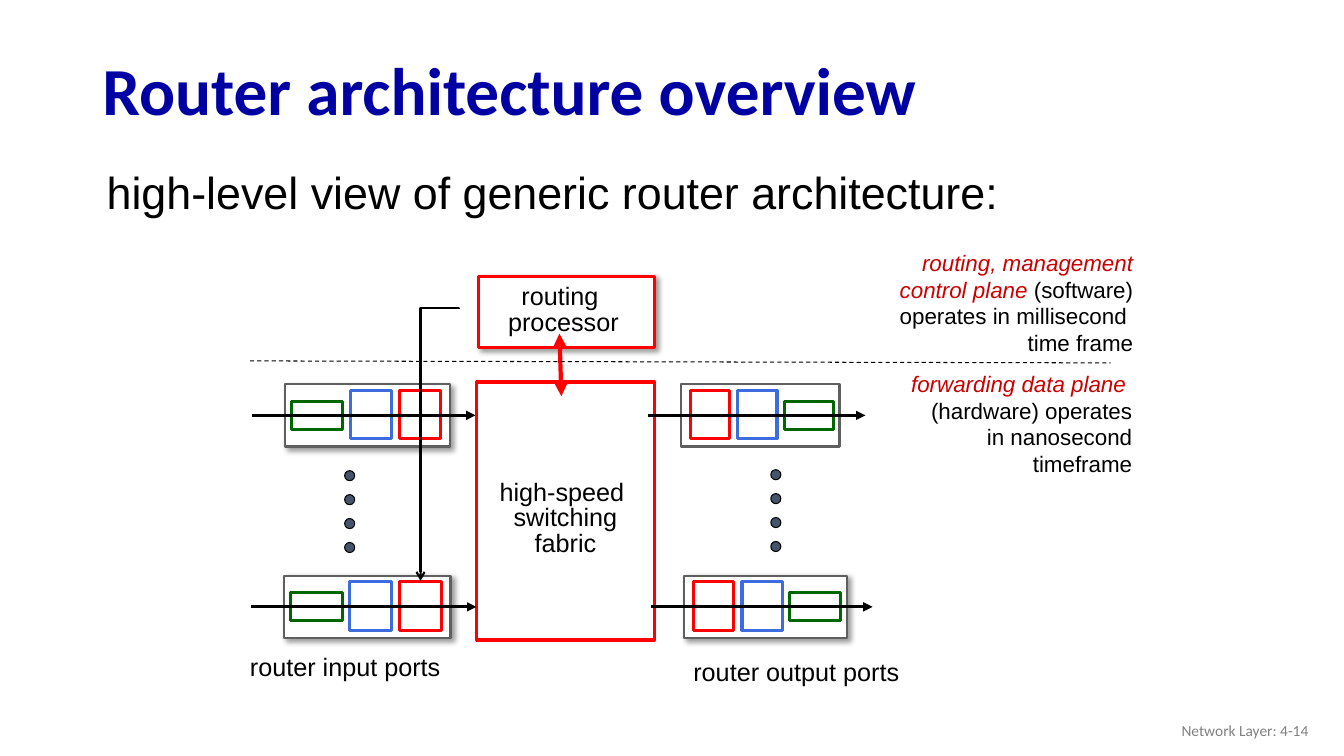
import pptx
import pptx.util
import pptx.dml.color
import pptx.enum.dml
import pptx.enum.shapes
import pptx.enum.text
import pptx.oxml
import pptx.oxml.ns

Pt = pptx.util.Pt
SHAPE = pptx.enum.shapes.MSO_SHAPE
CONNECTOR = pptx.enum.shapes.MSO_CONNECTOR
ALIGN = pptx.enum.text.PP_ALIGN
ANCHOR = pptx.enum.text.MSO_ANCHOR
DRAWING_NS = pptx.oxml.ns.nsdecls("a")

BLACK, WHITE, RED, GREEN, BLUE = "000000", "FFFFFF", "FF0000", "006600", "3C6CDF"
BODY = {"name": "Arial", "size": Pt(18), "color": BLACK}
SMALL = BODY | {"size": Pt(16)}
KEY_TERM = SMALL | {"color": "CC0000", "italic": True}

PORT_HEIGHT = 44.6
# Colour, start and width as shares of the port width, top offset, height
STAGES = [
    (GREEN, 0.04, 0.31, 12.3, 20),
    (BLUE, 0.395, 0.25, 4.4, 34.6),
    (RED, 0.695, 0.25, 4.4, 34.6),
]


def rgb(hex_color):
    return pptx.dml.color.RGBColor.from_string(hex_color)


def apply(target, values):
    """Set each format value on target; a colour is given as a hex string."""
    for attribute, value in values.items():
        if attribute == "color":
            target.color.rgb = rgb(value)
        else:
            setattr(target, attribute, value)


def write(frame, paragraphs, paragraph_format):
    """Fill a text frame; each paragraph is a list of (words, font values)."""
    for index, runs in enumerate(paragraphs):
        paragraph = frame.add_paragraph() if index else frame.paragraphs[0]
        apply(paragraph, paragraph_format)
        for words, font in runs:
            run = paragraph.add_run()
            run.text = words
            apply(run.font, font)


def label(slide, box, paragraphs, wrap=True, anchor=ANCHOR.TOP, **paragraph_format):
    frame = slide.shapes.add_textbox(*map(Pt, box)).text_frame
    apply(frame, {"word_wrap": wrap, "vertical_anchor": anchor})
    write(frame, paragraphs, paragraph_format)


def outlined(slide, box, line, width, fill=WHITE, kind=SHAPE.RECTANGLE, shadow=False):
    shape = slide.shapes.add_shape(kind, *map(Pt, box))
    shape.fill.solid()
    shape.fill.fore_color.rgb = rgb(fill)
    apply(shape.line, {"color": line, "width": Pt(width)})
    shape.shadow.inherit = False
    if shadow:
        effects = shape._element.spPr.find(pptx.oxml.ns.qn("a:effectLst"))
        effects.append(pptx.oxml.parse_xml(
            f'<a:outerShdw {DRAWING_NS} blurRad="{Pt(4)}" dist="{Pt(3)}" dir="2700000" '
            'algn="tl" rotWithShape="0"><a:srgbClr val="000000">'
            '<a:alpha val="40000"/></a:srgbClr></a:outerShdw>'))


def link(slide, start, end, width, color=BLACK, head=None, tail=None,
         kind=CONNECTOR.STRAIGHT):
    connector = slide.shapes.add_connector(kind, *map(Pt, (*start, *end)))
    apply(connector.line, {"color": color, "width": Pt(width)})
    outline = connector.line._get_or_add_ln()
    for tag, arrowhead in (("headEnd", head), ("tailEnd", tail)):
        if arrowhead:
            outline.append(pptx.oxml.parse_xml(
                f'<a:{tag} {DRAWING_NS} type="{arrowhead}"/>'))
    connector._element.spPr.append(
        pptx.oxml.parse_xml(f"<a:effectLst {DRAWING_NS}/>"))
    return connector


def port(slide, left, top, width, mirrored=False, shadow=True):
    """Draw a port with its three stages and the packet flow through them."""
    outlined(slide, (left, top, width, PORT_HEIGHT), "5F5F5F", 1.5, shadow=shadow)
    for color, start, share, drop, height in STAGES:
        offset = 1 - start - share if mirrored else start
        outlined(slide, (left + offset * width, top + drop, share * width, height),
                 color, 2.25)
    middle = top + PORT_HEIGHT / 2
    link(slide, (left - 24, middle), (left + width + 18.5, middle), 2.25,
         tail="triangle")


def dots(slide, left, top):
    for index in range(4):
        outlined(slide, (left, top + index * 17.1, 7.2, 7.2), BLACK, 0.75,
                 fill="44546A", kind=SHAPE.OVAL)


def forwarding_table_arrow(slide):
    """Run from the routing processor left, then down to the last input port."""
    arrow = link(slide, (216.7, 303.8), (411.5, 331.2), 1.5, tail="arrow",
                 kind=CONNECTOR.ELBOW)
    properties = arrow._element.spPr
    properties.xfrm.set("rot", "5400000")
    guides = properties.prstGeom.get_or_add_avLst()
    guides.append(pptx.oxml.parse_xml(
        f'<a:gd {DRAWING_NS} name="adj1" fmla="val -100"/>'))


def add_title(slide):
    title = slide.shapes.title
    apply(title, {"left": Pt(66), "top": Pt(31.7), "width": Pt(828), "height": Pt(70.6)})
    apply(title.text_frame, {"vertical_anchor": ANCHOR.MIDDLE,
                             "auto_size": pptx.enum.text.MSO_AUTO_SIZE.NONE})
    font = {"name": "Calibri", "size": Pt(48), "bold": True, "color": "0000A3"}
    write(title.text_frame, [[("Router architecture overview", font)]],
          {"alignment": ALIGN.LEFT, "line_spacing": 0.9})


def add_core(slide):
    centred = {"wrap": False, "alignment": ALIGN.CENTER, "line_spacing": 0.85}
    outlined(slide, (340.6, 272.9, 126.7, 184.3), RED, 2.25)
    label(slide, (349.2, 339.8, 109.4, 62.6),
          [[(words, BODY)] for words in ("high-speed ", "switching", "fabric")], **centred)
    outlined(slide, (342, 197.3, 125.3, 51.1), RED, 2.25, shadow=True)
    label(slide, (355.7, 200.2, 93.6, 43.9),
          [[(words, BODY)] for words in ("routing ", "processor")], **centred)
    link(slide, (399.6, 238.3), (401, 283), 3, RED, head="triangle", tail="triangle")


def add_planes(slide):
    boundary = link(slide, (178.6, 257.8), (793.4, 259.2), 0.75)
    boundary.line.dash_style = pptx.enum.dml.MSO_LINE.DASH
    label(slide, (643.7, 260.6, 172.1, 85),
          [[("forwarding data plane  ", KEY_TERM),
            ("(hardware) operates in nanosecond timeframe", SMALL)]],
          alignment=ALIGN.RIGHT)
    label(slide, (589.7, 174.2, 226.8, 85),
          [[("routing, management", KEY_TERM)],
           [("control plane ", KEY_TERM), ("(software)", SMALL)],
           [("operates in millisecond ", SMALL)],
           [("time frame", SMALL)]],
          alignment=ALIGN.RIGHT)


def main():
    presentation = pptx.Presentation()
    apply(presentation, {"slide_width": Pt(960), "slide_height": Pt(540)})
    slide = presentation.slides.add_slide(presentation.slide_layouts[5])

    add_title(slide)
    label(slide, (69.1, 113.8, 849.6, 46),
          [[("high-level view of generic router architecture:",
             BODY | {"size": Pt(32)})]])
    add_core(slide)

    port(slide, 203.8, 274.4, 117.4)
    port(slide, 203, 411.2, 118.8)
    dots(slide, 246.2, 336.2)
    label(slide, (171.4, 461.5, 150.5, 28.8), [[("router input ports", BODY)]], wrap=False)

    port(slide, 486.7, 274.4, 113, mirrored=True, shadow=False)
    port(slide, 488.9, 411.2, 115.9, mirrored=True)
    dots(slide, 550.6, 335.5)
    label(slide, (488.2, 465.1, 161.3, 28.8), [[("router output ports", BODY)]], wrap=False)

    add_planes(slide)
    forwarding_table_arrow(slide)
    label(slide, (725.8, 507.6, 216, 28.8),
          [[("Network Layer: 4-14",
             {"name": "Calibri", "size": Pt(11), "color": "808080"})]],
          anchor=ANCHOR.MIDDLE, alignment=ALIGN.RIGHT)
    presentation.save("out.pptx")


if __name__ == "__main__":
    main()
